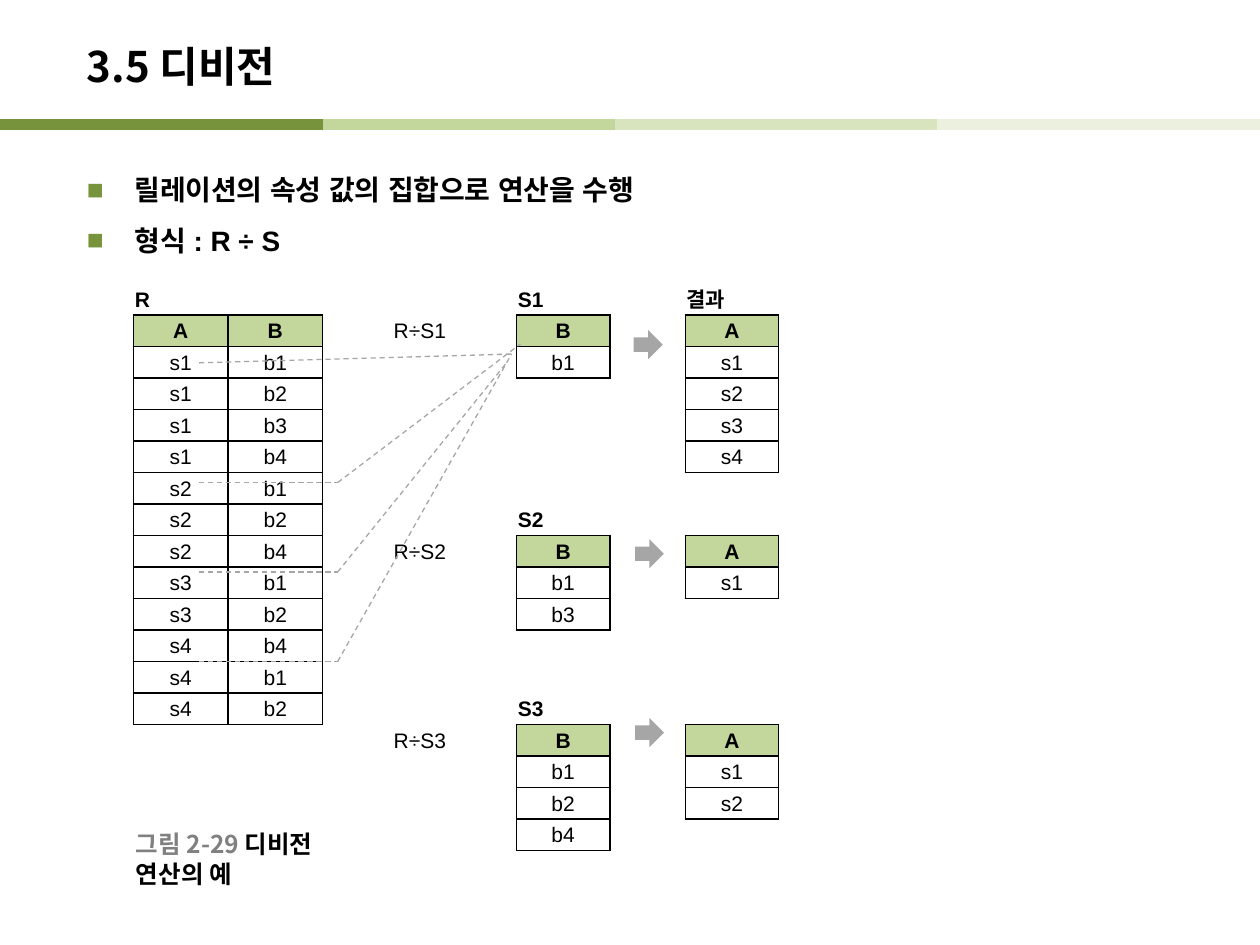
from dataclasses import dataclass

from lxml.etree import SubElement
from pptx import Presentation
from pptx.dml.color import RGBColor
from pptx.enum.dml import MSO_LINE_DASH_STYLE as Dash
from pptx.enum.shapes import MSO_CONNECTOR, MSO_SHAPE
from pptx.enum.text import MSO_ANCHOR, PP_ALIGN
from pptx.oxml.ns import qn
from pptx.util import Inches, Pt

COLORS = {
    "text": "000000", "muted": "808080", "gray": "A6A6A6", "bullet": "77933C",
    "header": "C3D69B", "pale": "D7E4BD", "palest": "EBF1DE",
}
ARIAL = "Arial"
NOTO = "Noto Sans CJK KR"
NO_STYLE = "{2D5ABB26-0587-4C30-8999-92F81FD0307C}"
COLUMN_WIDTHS = [0.75, 0.75, 0.38, 0.61, 0.55, 0.74, 0.6, 0.74]
ROW_COUNT, ROW_HEIGHT = 18, 0.25
FORMULA_COLUMN = 3


@dataclass
class Relation:
    row: int
    column: int
    label: str
    headers: str
    records: list[str]


@dataclass
class Line:
    start: tuple[float, float]
    end: tuple[float, float]
    color: str = "gray"
    width: float = 0.75
    dashed: bool = True


RELATIONS = [
    Relation(0, 0, "R", "A B", [
        "s1 b1", "s1 b2", "s1 b3", "s1 b4", "s2 b1", "s2 b2",
        "s2 b4", "s3 b1", "s3 b2", "s4 b4", "s4 b1", "s4 b2"]),
    Relation(0, 5, "S1", "B", ["b1"]),
    Relation(0, 7, "결과", "A", ["s1", "s2", "s3", "s4"]),
    Relation(7, 5, "S2", "B", ["b1", "b3"]),
    Relation(7, 7, "", "A", ["s1"]),
    Relation(13, 5, "S3", "B", ["b1", "b2", "b4"]),
    Relation(13, 7, "", "A", ["s1", "s2"]),
]
FORMULAS = {1: "R÷S1", 8: "R÷S2", 14: "R÷S3"}
STRIPE_Y = 0.99
STRIPES = [
    Line((left, STRIPE_Y), (left + 2.56, STRIPE_Y), color, 6, False)
    for left, color in [(2.32, "header"), (4.88, "pale"), (7.44, "palest"), (0, "bullet")]
]
BENDS = [(3.83, (4.13, 2.73)), (4.54, (4.02, 2.88)), (5.25, (4.06, 2.81))]
LINKS = [Line((1.58, 2.88), (4.06, 2.81))]
for bend_y, target in BENDS:
    LINKS += [Line((1.58, bend_y), (2.68, bend_y)), Line((2.68, bend_y), target)]
ARROWS = [(5.03, 2.62), (5.04, 4.28), (5.04, 5.7)]


def rgb(name: str) -> RGBColor:
    return RGBColor.from_string(COLORS[name])


def add_span(para, text: str, size: float, font: str, bold=True, color="text") -> None:
    span = para.add_run()
    span.text = text
    span.font.size, span.font.bold, span.font.name = Pt(size), bold, font
    span.font.color.rgb = rgb(color)
    SubElement(span.font._element, qn("a:ea"), typeface=font)


def add_line(page, line: Line) -> None:
    points = [Inches(value) for value in (*line.start, *line.end)]
    connector = page.shapes.add_connector(MSO_CONNECTOR.STRAIGHT, *points)
    connector.line.color.rgb = rgb(line.color)
    connector.line.width = Pt(line.width)
    if line.dashed:
        connector.line.dash_style = Dash.DASH
    SubElement(connector._element.spPr, qn("a:effectLst"))


def add_borders(cell) -> None:
    properties = cell._tc.get_or_add_tcPr()
    for side in ("lnL", "lnR", "lnT", "lnB"):
        edge = SubElement(properties, qn(f"a:{side}"), w=str(Pt(1)))
        fill = SubElement(edge, qn("a:solidFill"))
        SubElement(fill, qn("a:srgbClr"), val=COLORS["text"])


def fill_cell(cell, text: str, align=PP_ALIGN.CENTER, bold=False) -> None:
    para = cell.text_frame.paragraphs[0]
    para.alignment = align
    add_span(para, text, 12, ARIAL, bold)


def fill_relation(table, relation: Relation) -> None:
    if relation.label:
        label_cell = table.cell(relation.row, relation.column)
        fill_cell(label_cell, relation.label, PP_ALIGN.LEFT, True)
    for i, record in enumerate([relation.headers, *relation.records]):
        for j, value in enumerate(record.split()):
            cell = table.cell(relation.row + 1 + i, relation.column + j)
            add_borders(cell)
            fill_cell(cell, value, bold=i == 0)
            if i == 0:
                cell.fill.solid()
                cell.fill.fore_color.rgb = rgb("header")


def add_relations(page) -> None:
    frame = page.shapes.add_table(
        ROW_COUNT, len(COLUMN_WIDTHS), Inches(1.06), Inches(2.25),
        Inches(sum(COLUMN_WIDTHS)), Inches(ROW_COUNT * ROW_HEIGHT))
    table = frame.table
    table.first_row = table.horz_banding = False
    table._tbl.tblPr.find(qn("a:tableStyleId")).text = NO_STYLE
    for column, width in zip(table.columns, COLUMN_WIDTHS):
        column.width = Inches(width)
    for row in table.rows:
        row.height = Inches(ROW_HEIGHT)
    for cell in table.iter_cells():
        cell.margin_left = cell.margin_right = cell.margin_top = Inches(0.01)
        cell.margin_bottom = 0
        cell.vertical_anchor = MSO_ANCHOR.MIDDLE
    for relation in RELATIONS:
        fill_relation(table, relation)
    for row_index, formula in FORMULAS.items():
        fill_cell(table.cell(row_index, FORMULA_COLUMN), formula, PP_ALIGN.RIGHT)
    for cell in table.iter_cells():
        if not cell.text:
            end = SubElement(cell.text_frame.paragraphs[0]._p, qn("a:endParaRPr"), sz="1200")
            SubElement(end, qn("a:latin"), typeface=ARIAL)


def add_title(page) -> None:
    title = page.shapes.title
    title.left, title.top, title.width, title.height = map(Inches, (0.59, 0.22, 8.27, 0.6))
    title.text_frame.vertical_anchor = MSO_ANCHOR.MIDDLE
    para = title.text_frame.paragraphs[0]
    para.alignment = PP_ALIGN.LEFT
    add_span(para, "3.5 디비전", 24, NOTO)


def add_bullets(page) -> None:
    box = page.shapes.add_textbox(*map(Inches, (0.59, 1.19, 8.82, 5.98)))
    box.text_frame.word_wrap = True
    for i, text in enumerate(["릴레이션의 속성 값의 집합으로 연산을 수행", "형식 : R ÷ S"]):
        para = box.text_frame.add_paragraph() if i else box.text_frame.paragraphs[0]
        properties = para._p.get_or_add_pPr()
        properties.set("marL", str(Inches(0.38)))
        properties.set("indent", str(-Inches(0.38)))
        bullet_color = SubElement(properties, qn("a:buClr"))
        SubElement(bullet_color, qn("a:srgbClr"), val=COLORS["bullet"])
        SubElement(properties, qn("a:buFont"), typeface=ARIAL)
        SubElement(properties, qn("a:buChar"), char="■")
        para.line_spacing = 1.5
        add_span(para, text, 16, ARIAL)


def add_arrow(page, left: float, top: float) -> None:
    size = Inches(0.23)
    arrow = page.shapes.add_shape(MSO_SHAPE.DOWN_ARROW, Inches(left), Inches(top), size, size)
    arrow.rotation = 270
    arrow.shadow.inherit = False
    arrow.fill.solid()
    arrow.fill.fore_color.rgb = rgb("gray")
    arrow.line.fill.background()


def add_caption(page) -> None:
    box = page.shapes.add_textbox(*map(Inches, (0.98, 6.66, 2.05, 0.31)))
    box.text_frame.word_wrap = False
    box.text_frame.vertical_anchor = MSO_ANCHOR.MIDDLE
    para = box.text_frame.paragraphs[0]
    add_span(para, "그림 2-29 ", 14, NOTO, color="muted")
    add_span(para, "디비전 연산의 예", 14, NOTO)


def main() -> None:
    deck = Presentation()
    deck.slide_width, deck.slide_height = Inches(10), Inches(7.5)
    page = deck.slides.add_slide(deck.slide_layouts[5])
    for stripe in STRIPES:
        add_line(page, stripe)
    add_title(page)
    add_bullets(page)
    add_relations(page)
    for link in LINKS:
        add_line(page, link)
    for left, top in ARROWS:
        add_arrow(page, left, top)
    add_caption(page)
    deck.save("out.pptx")


if __name__ == "__main__":
    main()
